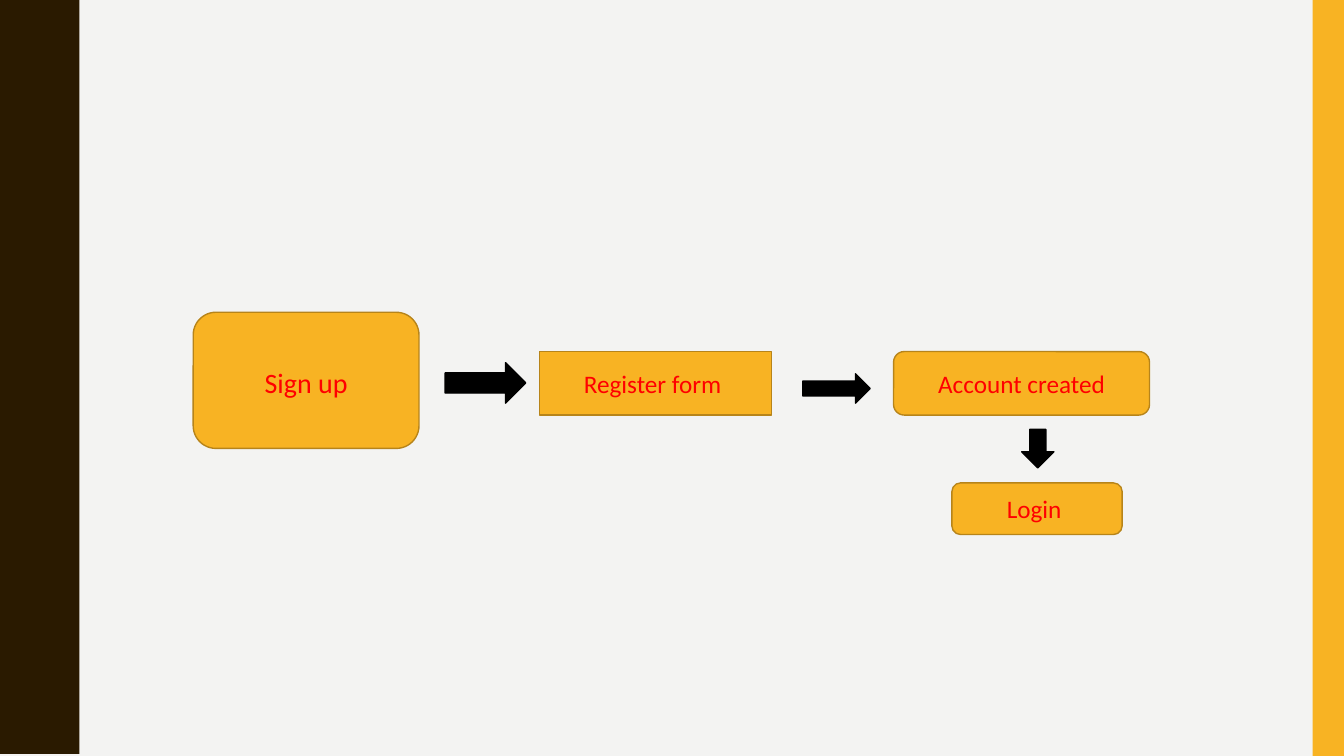
import pptx
import pptx.util
import pptx.dml.color
import pptx.enum.shapes
import pptx.enum.text

Cm = pptx.util.Cm
Pt = pptx.util.Pt
KIND = pptx.enum.shapes.MSO_SHAPE

WIDE, HIGH = 33.87, 19.05
DARK, GOLD, EDGE = "2A1A00", "F8B323", "B7841A"
BLACK, RED, PALE = "000000", "FF0000", "F3F3F2"

# Half a wave, from trough to crest: (outward, downward) in cm
CURVE = [(0, 0), (0, 0.18), (0.03, 0.36), (0.05, 0.51), (0.08, 0.64),
         (0.13, 0.74), (0.18, 0.84), (0.23, 0.95), (0.28, 1.07),
         (0.33, 1.17), (0.38, 1.27), (0.43, 1.4), (0.46, 1.55),
         (0.48, 1.73), (0.48, 1.9)]


def color(code):
    return pptx.dml.color.RGBColor.from_string(code)


def paint(shape, fill, line=None):
    shape.shadow.inherit = False
    shape.fill.solid()
    shape.fill.fore_color.rgb = color(fill)
    if line:
        shape.line.color.rgb = color(line)
        shape.line.width = Pt(1)
    else:
        shape.line.fill.background()


def block(slide, kind, left, top, width, height, fill, line=None):
    shape = slide.shapes.add_shape(
        kind, Cm(left), Cm(top), Cm(width), Cm(height))
    paint(shape, fill, line)
    return shape


def label(shape, text, size):
    frame = shape.text_frame
    frame.word_wrap = True
    frame.vertical_anchor = pptx.enum.text.MSO_ANCHOR.MIDDLE
    para = frame.paragraphs[0]
    para.text = text
    para.alignment = pptx.enum.text.PP_ALIGN.CENTER
    para.font.name = "Calibri"
    para.font.size = Pt(size)
    para.font.color.rgb = color(RED)
    return para


def wave(slide, left, top, width, height, count=5):
    """Draw a band whose right edge makes count waves."""
    step = height / count
    trough = left + width - CURVE[-1][0]
    cycle = CURVE + [(x, step - y) for x, y in reversed(CURVE[:-1])]
    edge = [(trough + x, top + n * step + y)
            for n in range(count) for x, y in cycle]
    pen = slide.shapes.build_freeform(left, top, scale=Cm(1))
    pen.add_line_segments(edge + [(left, top + height)], close=True)
    paint(pen.convert_to_shape(), DARK)


def flow(slide, left, top):
    """Draw the sign-up steps and the arrows between them."""
    steps = [
        (KIND.ROUNDED_RECTANGLE, 0, 0, 5.69, 3.43, "Sign up", 20),
        (KIND.RECTANGLE, 8.73, 0.99, 5.84, 1.6, "Register form ", 18),
        (KIND.ROUNDED_RECTANGLE, 17.65, 0.99, 6.45, 1.6,
         "Account created", 18),
        (KIND.ROUNDED_RECTANGLE, 19.12, 4.3, 4.29, 1.3, "Login ", 18),
    ]
    arrows = [
        (KIND.RIGHT_ARROW, 6.35, 1.27, 2.03, 1.02),
        (KIND.RIGHT_ARROW, 15.36, 1.55, 1.7, 0.74),
        (KIND.DOWN_ARROW, 20.88, 2.95, 0.81, 0.97),
    ]
    paras = []
    for kind, x, y, width, height, text, size in steps:
        box = block(slide, kind, left + x, top + y, width, height, GOLD, EDGE)
        paras.append(label(box, text, size))
    paras[0].line_spacing = 1.1
    paras[0].space_before = Pt(7)
    for kind, x, y, width, height in arrows:
        block(slide, kind, left + x, top + y, width, height, BLACK, BLACK)


def main():
    deck = pptx.Presentation()
    deck.slide_width, deck.slide_height = Cm(WIDE), Cm(HIGH)
    slide = deck.slides.add_slide(deck.slide_layouts[6])
    slide.background.fill.solid()
    slide.background.fill.fore_color.rgb = color(PALE)
    wave(slide, 0, 0, 2.46, HIGH)
    block(slide, KIND.RECTANGLE, WIDE - 0.79, 0, 0.79, HIGH, GOLD)
    flow(slide, 4.87, 7.87)
    deck.save("out.pptx")


if __name__ == "__main__":
    main()
